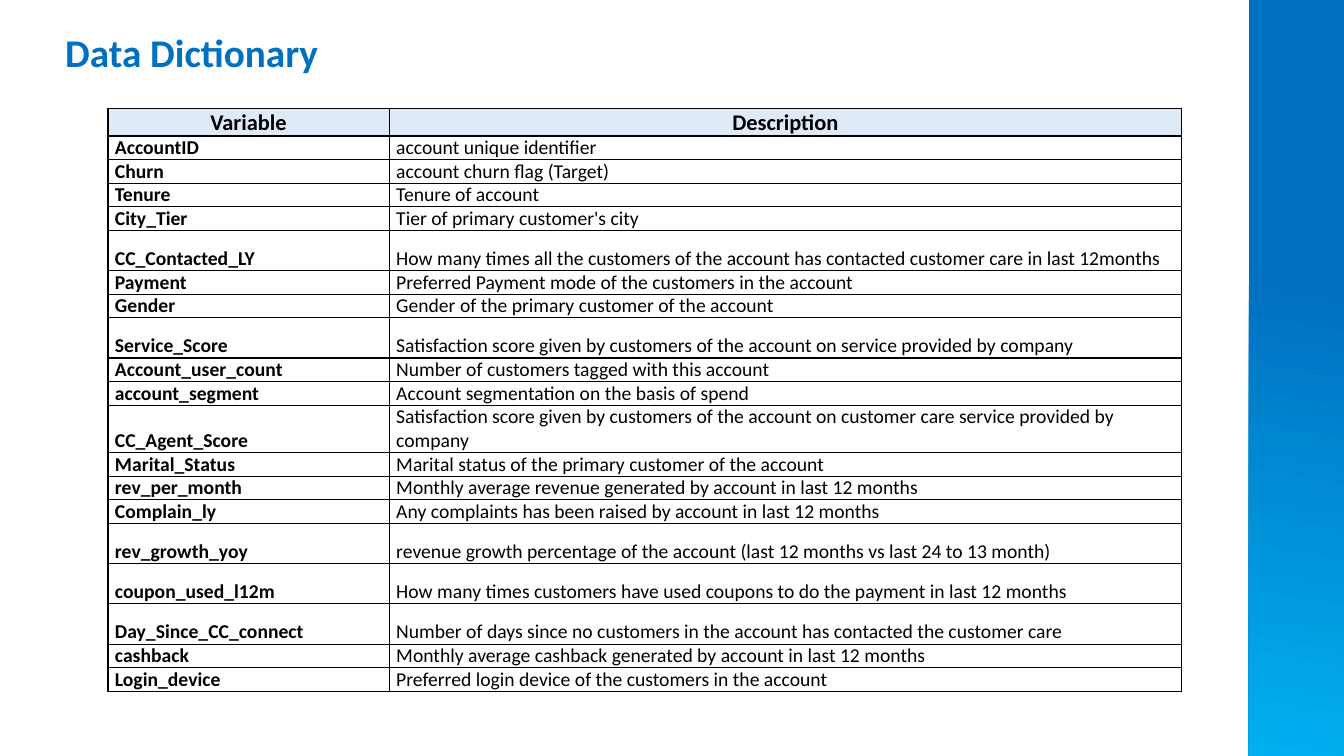
from dataclasses import dataclass

from pptx import Presentation
from pptx.dml.color import RGBColor
from pptx.enum.shapes import MSO_SHAPE
from pptx.enum.text import MSO_ANCHOR, MSO_AUTO_SIZE, PP_ALIGN
from pptx.oxml import parse_xml
from pptx.oxml.ns import nsdecls
from pptx.util import Emu, Inches, Pt

BLUE = RGBColor(0x00, 0x70, 0xC0)
CYAN = RGBColor(0x00, 0xB0, 0xF0)
PALE_BLUE = RGBColor(0xDE, 0xEB, 0xF7)
BLACK = RGBColor(0x00, 0x00, 0x00)
FONT = "Calibri"

WIDTH, HEIGHT = Inches(13.33), Inches(7.5)

# Row heights and column widths, in hundredths of the slide
HEADER, LINE, TALL, DOUBLE = 3.6, 3.1, 5.33, 6.27
COLUMN_WIDTHS = (20.93, 58.95)


@dataclass(frozen=True)
class Entry:
    variable: str
    description: str
    height: float = LINE


ENTRIES = (
    Entry("Variable", "Description", HEADER),
    Entry("AccountID", "account unique identifier"),
    Entry("Churn", "account churn flag (Target)"),
    Entry("Tenure", "Tenure of account"),
    Entry("City_Tier", "Tier of primary customer's city"),
    Entry("CC_Contacted_LY", "How many times all the customers of the account has "
          "contacted customer care in last 12months", TALL),
    Entry("Payment", "Preferred Payment mode of the customers in the account"),
    Entry("Gender", "Gender of the primary customer of the account"),
    Entry("Service_Score", "Satisfaction score given by customers of the account "
          "on service provided by company", TALL),
    Entry("Account_user_count", "Number of customers tagged with this account"),
    Entry("account_segment", "Account segmentation on the basis of spend"),
    Entry("CC_Agent_Score", "Satisfaction score given by customers of the account "
          "on customer care service provided by company", DOUBLE),
    Entry("Marital_Status", "Marital status of the primary customer of the account"),
    Entry("rev_per_month", "Monthly average revenue generated by account in last 12 months"),
    Entry("Complain_ly", "Any complaints has been raised by account in last 12 months"),
    Entry("rev_growth_yoy", "revenue growth percentage of the account "
          "(last 12 months vs last 24 to 13 month)", TALL),
    Entry("coupon_used_l12m", "How many times customers have used coupons "
          "to do the payment in last 12 months", TALL),
    Entry("Day_Since_CC_connect", "Number of days since no customers in the account "
          "has contacted the customer care", TALL),
    Entry("cashback", "Monthly average cashback generated by account in last 12 months"),
    Entry("Login_device", "Preferred login device of the customers in the account"),
)


def across(share: float) -> Emu:
    return Emu(round(WIDTH * share / 100))


def down(share: float) -> Emu:
    return Emu(round(HEIGHT * share / 100))


def style_paragraph(para, size: int, color: RGBColor, bold: bool, align: PP_ALIGN) -> None:
    para.alignment = align
    para.font.name = FONT
    para.font.size = Pt(size)
    para.font.bold = bold
    para.font.color.rgb = color


def add_band(page) -> None:
    band = page.shapes.add_shape(
        MSO_SHAPE.RECTANGLE, across(92.93), 0, across(7.07), HEIGHT)
    band.shadow.inherit = False
    band.line.fill.background()
    band.fill.gradient()
    band.fill.gradient_angle = 260
    for stop, color, position in zip(band.fill.gradient_stops, (BLUE, CYAN), (0.37, 1)):
        stop.color.rgb = color
        stop.position = position


def add_title(page) -> None:
    title = page.shapes.title
    title.left, title.top = across(2.7), down(3.07)
    title.width, title.height = across(23.1), down(7.6)
    frame = title.text_frame
    frame.text = "Data Dictionary"
    frame.vertical_anchor = MSO_ANCHOR.TOP
    frame.auto_size = MSO_AUTO_SIZE.SHAPE_TO_FIT_TEXT
    style_paragraph(frame.paragraphs[0], 28, BLUE, True, PP_ALIGN.CENTER)


def add_borders(cell) -> None:
    properties = cell._tc.get_or_add_tcPr()
    for side in ("lnL", "lnR", "lnT", "lnB"):
        properties.append(parse_xml(
            f'<a:{side} {nsdecls("a")} w="{Pt(1)}"><a:solidFill>'
            f'<a:srgbClr val="{BLACK}"/></a:solidFill></a:{side}>'))


def fill_cell(cell, text: str, header: bool, bold: bool) -> None:
    cell.text = text
    cell.vertical_anchor = MSO_ANCHOR.BOTTOM
    cell.margin_left = cell.margin_right = Inches(0.07)
    cell.margin_top = cell.margin_bottom = 0
    add_borders(cell)
    if header:
        cell.fill.solid()
        cell.fill.fore_color.rgb = PALE_BLUE
    else:
        cell.fill.background()
    style_paragraph(cell.text_frame.paragraphs[0], 16 if header else 14, BLACK, bold,
                    PP_ALIGN.CENTER if header else PP_ALIGN.LEFT)


def add_dictionary(page) -> None:
    table = page.shapes.add_table(
        len(ENTRIES), len(COLUMN_WIDTHS), across(8.03), down(14.4),
        across(sum(COLUMN_WIDTHS)), down(sum(entry.height for entry in ENTRIES))).table
    table.first_row = table.horz_banding = False
    for column, width in zip(table.columns, COLUMN_WIDTHS):
        column.width = across(width)
    for index, entry in enumerate(ENTRIES):
        header = index == 0
        table.rows[index].height = down(entry.height)
        fill_cell(table.cell(index, 0), entry.variable, header, True)
        fill_cell(table.cell(index, 1), entry.description, header, header)


def main() -> None:
    deck = Presentation()
    deck.slide_width, deck.slide_height = WIDTH, HEIGHT
    page = deck.slides.add_slide(deck.slide_layouts.get_by_name("Title Only"))
    add_band(page)
    add_title(page)
    add_dictionary(page)
    deck.save("out.pptx")


if __name__ == "__main__":
    main()
